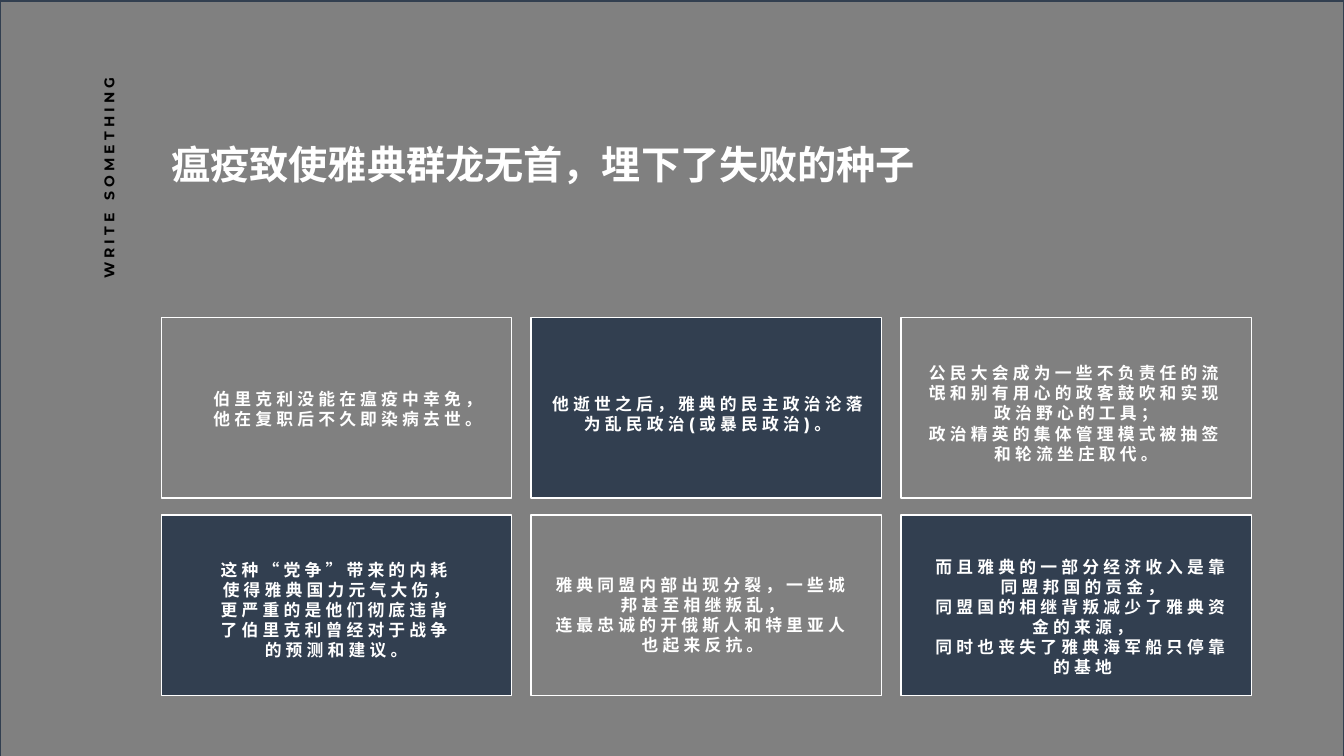
from dataclasses import dataclass

from pptx import Presentation, util as u
from pptx.dml.color import RGBColor
from pptx.enum import shapes, text


@dataclass(frozen=True)
class Theme:
    font: str = "Montserrat"
    navy: str = "323F50"
    gray: str = "808080"
    white: str = "FFFFFF"
    black: str = "000000"
    title_size: float = 28
    body_size: float = 12
    label_size: float = 10
    spacing: int = 300


def set_all(target, values):
    for name, value in values.items():
        setattr(target, name, value)


class Painter:
    def __init__(self, page, theme):
        self.page = page
        self.theme = theme

    def fill_text(self, shape, lines, size, color, align, wrap=True, spacing=None, leading=None):
        frame = shape.text_frame
        frame.text = "\n".join(lines)
        set_all(frame, {
            "word_wrap": wrap,
            "auto_size": text.MSO_AUTO_SIZE.SHAPE_TO_FIT_TEXT,
            "vertical_anchor": text.MSO_ANCHOR.TOP,
        })
        for para in frame.paragraphs:
            set_all(para, {"alignment": align, "space_before": u.Pt(0)})
            if leading:
                para.line_spacing = u.Pt(leading)
            for span in para.runs:
                set_all(span.font, {"name": self.theme.font, "size": u.Pt(size), "bold": True})
                span.font.color.rgb = RGBColor.from_string(color)
                if spacing:
                    span.font._element.set("spc", str(spacing))

    def title(self, bounds, wording):
        title = self.page.shapes.title
        set_all(title, dict(zip(("left", "top", "width", "height"), map(u.Pt, bounds))))
        self.fill_text(title, [wording], self.theme.title_size, self.theme.white,
                       text.PP_ALIGN.LEFT, leading=67.8)

    def panel(self, bounds, fill, line):
        panel = self.page.shapes.add_shape(shapes.MSO_SHAPE.RECTANGLE, *map(u.Pt, bounds))
        panel.shadow.inherit = False
        if fill:
            panel.fill.solid()
            panel.fill.fore_color.rgb = RGBColor.from_string(fill)
        else:
            panel.fill.background()
        panel.line.color.rgb = RGBColor.from_string(line)
        panel.line.width = u.Pt(1)
        return panel

    def backdrop(self, bounds):
        panel = self.panel(bounds, self.theme.gray, self.theme.navy)
        self.page.shapes.title.element.addprevious(panel.element)

    def label(self, bounds, wording):
        box = self.page.shapes.add_textbox(*map(u.Pt, bounds))
        box.rotation = 270
        self.fill_text(box, [wording], self.theme.label_size, self.theme.black,
                       text.PP_ALIGN.LEFT, spacing=self.theme.spacing)

    def body(self, bounds, lines, wrap):
        box = self.page.shapes.add_textbox(*map(u.Pt, bounds))
        self.fill_text(box, lines, self.theme.body_size, self.theme.white,
                       text.PP_ALIGN.CENTER, wrap, self.theme.spacing)


CARDS = [
    ((142.6, 274.3, 211.7, 36), False,
     ["伯里克利没能在瘟疫中幸免，", "他在复职后不久即染病去世。"]),
    ((384.5, 277.9, 241.9, 36), False,
     ["他逝世之后，雅典的民主政治沦落", "为乱民政治(或暴民政治)。"]),
    ((655.9, 255.6, 225.4, 79.9), True,
     ["公民大会成为一些不负责任的流氓和别有用心的政客鼓吹和实现政治野心的工具；",
      "政治精英的集体管理模式被抽签和轮流坐庄取代。"]),
    ((143.3, 396, 193.7, 79.9), True,
     ["这种“党争”带来的内耗使得雅典国力元气大伤，",
      "更严重的是他们彻底违背了伯里克利曾经对于战争的预测和建议。"]),
    ((384.5, 406.8, 234.7, 65.5), True,
     ["雅典同盟内部出现分裂，一些城邦甚至相继叛乱，",
      "连最忠诚的开俄斯人和特里亚人也起来反抗。"]),
    ((655.9, 393.8, 234.7, 94.3), True,
     ["而且雅典的一部分经济收入是靠同盟邦国的贡金，",
      "同盟国的相继背叛减少了雅典资金的来源，",
      "同时也丧失了雅典海军船只停靠的基地"]),
]


def main():
    deck = Presentation()
    set_all(deck, {"slide_width": u.Pt(960), "slide_height": u.Pt(540)})
    page = deck.slides.add_slide(deck.slide_layouts.get_by_name("Title Only"))
    theme = Theme()
    painter = Painter(page, theme)

    painter.backdrop((0, 0.7, 960, 540))
    painter.title((115.2, 62.6, 779, 66.2), "瘟疫致使雅典群龙无首，埋下了失败的种子")
    painter.label((-43.9, 74.9, 243.4, 19.4), "WRITE SOMETHING")

    for index in range(len(CARDS)):
        row, column = divmod(index, 3)
        fill = theme.navy if index % 2 else None
        painter.panel((115.2 + 264.25 * column, 226.8 + 141.2 * row, 250.4, 128.9),
                      fill, theme.white)
    for bounds, wrap, lines in CARDS:
        painter.body(bounds, lines, wrap)

    deck.save("out.pptx")


if __name__ == "__main__":
    main()
